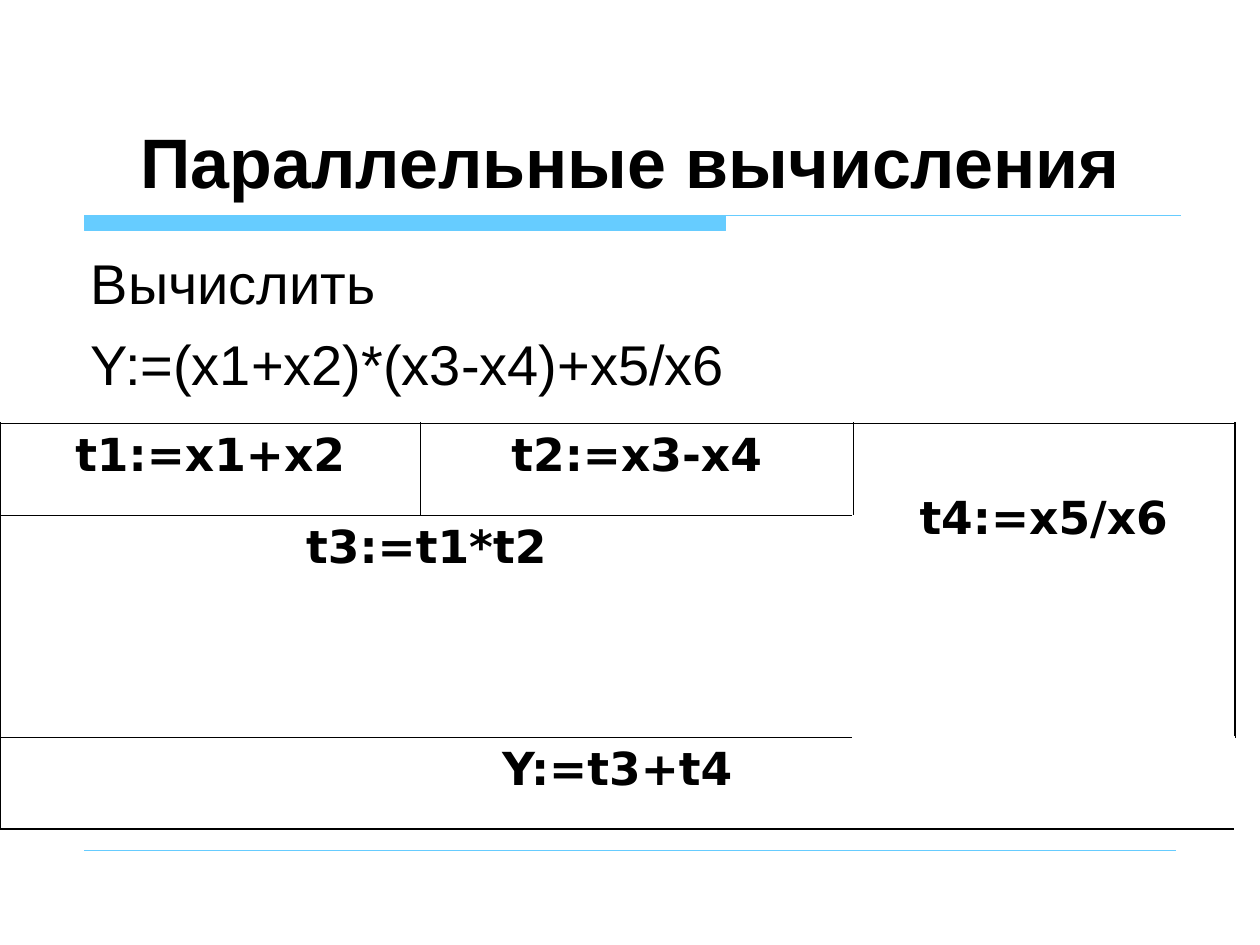
import pptx
import pptx.util
import pptx.dml.color
import pptx.enum.text
import pptx.enum.shapes
import pptx.oxml
from pptx.oxml.ns import qn

WIDE, HIGH = 10, 7.5
BLUE, BLACK = "66CCFF", "000000"
COLS = [3.34, 3.43, 3.03]
ROWS = [0.73, 1.76, 0.73]
THICK, THIN = 1.08, 0.45
# row, column, rows spanned, columns spanned, text, top margin
STEPS = [
    (0, 0, 1, 1, "t1:=x1+x2", 0.05),
    (0, 1, 1, 1, "t2:=x3-x4", 0.05),
    (0, 2, 2, 1, "t4:=x5/x6", 0.55),
    (1, 0, 1, 2, "t3:=t1*t2", 0.05),
    (2, 0, 1, 3, "Y:=t3+t4", 0.05),
]
Inch, Pt = pptx.util.Inches, pptx.util.Pt
Align = pptx.enum.text.PP_ALIGN


def tint(code):
    return pptx.dml.color.RGBColor.from_string(code)


def style(para, align, **font):
    para.alignment = align
    para.font.color.rgb = tint(BLACK)
    for name, value in font.items():
        setattr(para.font, name, value)


def place(shape, left, top, width, height):
    box = dict(left=left, top=top, width=width, height=height)
    for name, value in box.items():
        setattr(shape, name, Inch(value))


def add_title(slide, text):
    title = slide.shapes.title
    place(title, 0, 0, WIDE, 1.66)
    frame = title.text_frame
    frame.text = text
    frame.auto_size = pptx.enum.text.MSO_AUTO_SIZE.NONE
    frame.vertical_anchor = pptx.enum.text.MSO_ANCHOR.BOTTOM
    style(frame.paragraphs[0], Align.CENTER, size=Pt(40), name="Arial", bold=True)


def add_body(slide, lines):
    body = slide.placeholders[1]
    place(body, 0.62, 1.92, WIDE - 0.62, HIGH - 1.92)
    frame = body.text_frame
    frame.text = "\n".join(lines)
    frame.auto_size = pptx.enum.text.MSO_AUTO_SIZE.NONE
    for i, para in enumerate(frame.paragraphs):
        props = para._p.get_or_add_pPr()
        props.set("marL", str(Inch(0.51)))
        props.set("indent", str(-Inch(0.51)))
        pptx.oxml.parse_xml(
            '<a:pPr xmlns:a="http://schemas.openxmlformats.org/drawingml/2006/main"/>')
        props.append(props.makeelement(qn("a:buNone"), {}))
        para.space_before = Pt(8 if i else 0)
        style(para, Align.LEFT, size=Pt(32), name="Arial")


def add_bar(slide):
    """Thick bar under the title that runs on as a thin line."""
    left, mid, right, top, low = 0.67, 5.76, 9.37, 1.71, 1.83
    pen = slide.shapes.build_freeform(Inch(left), Inch(top))
    points = [(mid, top), (mid, low), (left, low)]
    pen.add_line_segments([(Inch(x), Inch(y)) for x, y in points], close=True)
    pen.move_to(Inch(left), Inch(top))
    pen.add_line_segments([(Inch(right), Inch(top))], close=False)
    bar = pen.convert_to_shape()
    bar.shadow.inherit = False
    bar.fill.solid()
    bar.fill.fore_color.rgb = tint(BLUE)
    bar.line.color.rgb = tint(BLUE)
    bar.line.width = Pt(0.75)


def add_rule(slide):
    ends = [Inch(n) for n in (0.67, 6.75, 9.33, 6.75)]
    kind = pptx.enum.shapes.MSO_CONNECTOR.STRAIGHT
    rule = slide.shapes.add_connector(kind, *ends)
    rule.line.color.rgb = tint(BLUE)
    rule.line.width = Pt(0.25)
    props = rule._element.spPr
    props.append(props.makeelement(qn("a:effectLst"), {}))


def add_edge(cell, side, width):
    props = cell._tc.get_or_add_tcPr()
    edge = props.makeelement(qn("a:" + side), {"w": str(Pt(width))})
    fill = props.makeelement(qn("a:solidFill"), {})
    fill.append(props.makeelement(qn("a:srgbClr"), {"val": BLACK}))
    edge.append(fill)
    props.append(edge)


def draw_edges(table, row, col, down, over):
    """Line the outside of a block of cells, thicker at the table's rim."""
    for r in range(row, row + down):
        for c in range(col, col + over):
            cell = table.cell(r, c)
            sides = [
                ("lnL", c == col, c == 0),
                ("lnR", c == col + over - 1, c == len(COLS) - 1),
                ("lnT", r == row, r == 0),
                ("lnB", r == row + down - 1, r == len(ROWS) - 1),
            ]
            for side, outer, rim in sides:
                if outer:
                    add_edge(cell, side, THICK if rim else THIN)
            cell.fill.background()


def add_steps(slide):
    size = [Inch(n) for n in (0, 3.36, sum(COLS), sum(ROWS))]
    table = slide.shapes.add_table(len(ROWS), len(COLS), *size).table
    table.first_row = table.horz_banding = False
    for col, width in zip(table.columns, COLS):
        col.width = Inch(width)
    for row, height in zip(table.rows, ROWS):
        row.height = Inch(height)
    for row, col, down, over, text, margin in STEPS:
        draw_edges(table, row, col, down, over)
        cell = table.cell(row, col)
        if down * over > 1:
            cell.merge(table.cell(row + down - 1, col + over - 1))
        cell.margin_top = Inch(margin)
        cell.text = text
        style(cell.text_frame.paragraphs[0], Align.CENTER,
              size=Pt(26), name="DejaVu Sans", bold=True)


def main():
    deck = pptx.Presentation()
    deck.slide_width, deck.slide_height = Inch(WIDE), Inch(HIGH)
    slide = deck.slides.add_slide(deck.slide_layouts[1])
    add_bar(slide)
    add_rule(slide)
    add_title(slide, "Параллельные вычисления")
    add_body(slide, ["Вычислить", "Y:=(x1+x2)*(x3-x4)+x5/x6"])
    add_steps(slide)
    deck.save("out.pptx")


if __name__ == "__main__":
    main()
